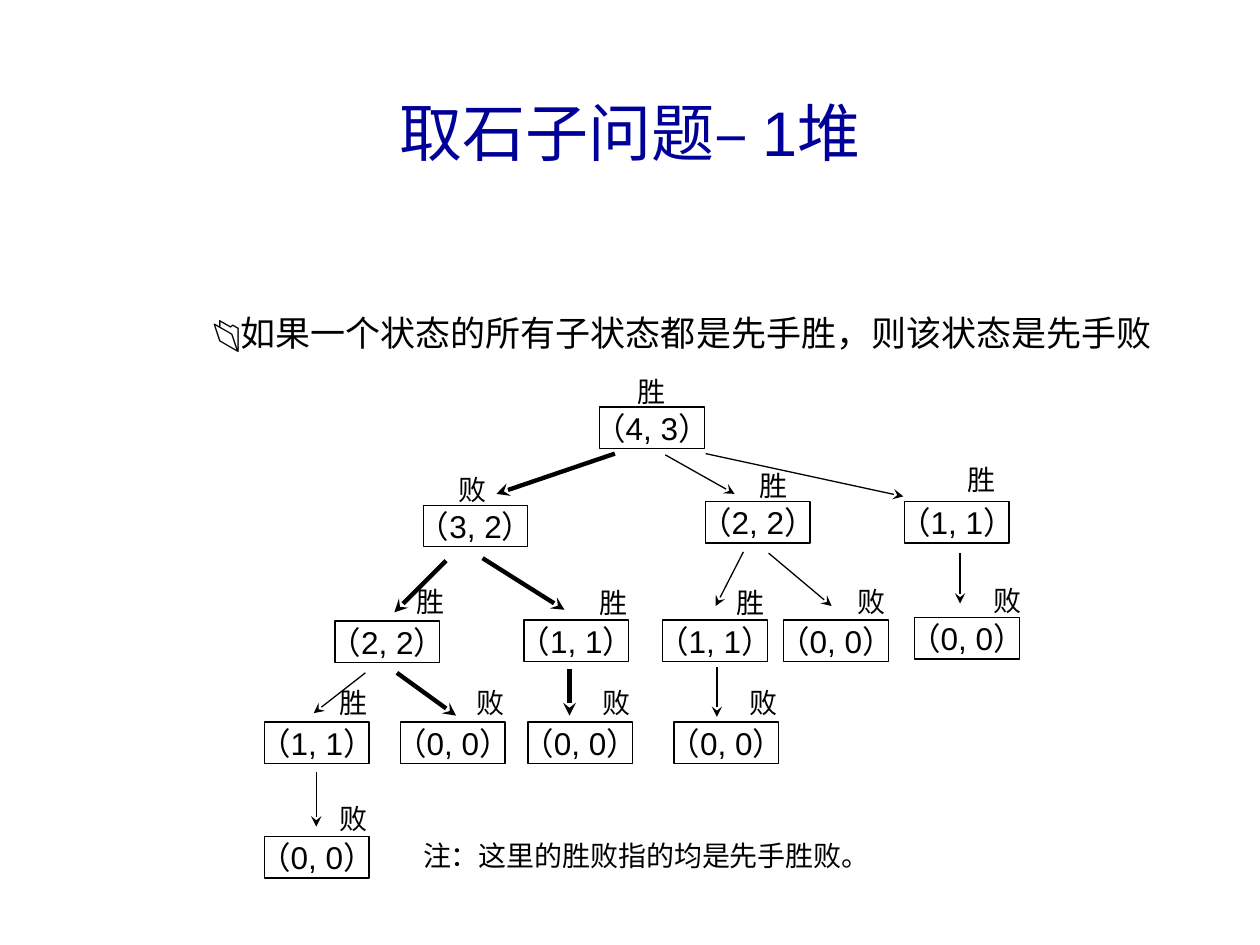
from dataclasses import dataclass

from lxml import etree
from pptx import Presentation
from pptx.dml.color import RGBColor
from pptx.enum import shapes, text
from pptx.oxml.ns import qn
from pptx.util import Inches, Pt


@dataclass(frozen=True)
class Theme:
    ink: RGBColor = RGBColor(0, 0, 0)
    heading: RGBColor = RGBColor(0, 0, 0x99)
    sans: str = "Arial"
    serif: str = "Times New Roman"
    title_size: float = 36
    rule_size: float = 20
    state_size: float = 18
    note_size: float = 16
    thin: float = 0.75
    thick: float = 2.5


THEME = Theme()
STATE_SIZE = (0.83, 0.33)
RESULT_SIZE = (0.33, 0.37)

# Game states by tree level: pair, box left and top, result, result left and top
STATES = [
    ("4, 3", 4.76, 3.23, "胜", 4.96, 2.92),

    ("3, 2", 3.36, 4.01, "败", 3.54, 3.70),
    ("2, 2", 5.60, 3.98, "胜", 5.93, 3.67),
    ("1, 1", 7.18, 3.98, "胜", 7.58, 3.62),

    ("2, 2", 2.66, 4.93, "胜", 3.21, 4.59),
    ("1, 1", 4.16, 4.92, "胜", 4.66, 4.60),
    ("1, 1", 5.26, 4.92, "胜", 5.75, 4.60),
    ("0, 0", 6.22, 4.92, "败", 6.71, 4.59),
    ("0, 0", 7.26, 4.90, "败", 7.79, 4.58),

    ("1, 1", 2.10, 5.73, "胜", 2.60, 5.39),
    ("0, 0", 3.18, 5.73, "败", 3.68, 5.39),
    ("0, 0", 4.19, 5.73, "败", 4.68, 5.39),
    ("0, 0", 5.35, 5.73, "败", 5.85, 5.39),

    ("0, 0", 2.10, 6.64, "败", 2.60, 6.31),
]

# Moves between states: start x, y and end x, y
WINNING_MOVES = [
    (4.88, 3.60, 3.94, 3.92),
    (3.54, 4.45, 3.13, 4.86),
    (3.83, 4.43, 4.48, 4.84),
    (3.15, 5.34, 3.62, 5.68),
    (4.52, 5.31, 4.52, 5.68),
]
OTHER_MOVES = [
    (5.28, 3.61, 5.83, 3.92),
    (5.60, 3.60, 7.17, 3.94),
    (5.90, 4.38, 5.68, 4.81),
    (6.10, 4.39, 6.60, 4.81),
    (7.62, 4.39, 7.62, 4.79),
    (2.90, 5.34, 2.49, 5.66),
    (5.69, 5.29, 5.69, 5.69),
    (2.51, 6.13, 2.51, 6.56),
]


def write(frame, words, size, font, color=THEME.ink, align=text.PP_ALIGN.LEFT):
    paragraph = frame.paragraphs[0]
    paragraph.text = words
    paragraph.alignment = align
    paragraph.font.size = Pt(size)
    paragraph.font.name = font
    paragraph.font.color.rgb = color


def add_title(slide, words):
    title = slide.shapes.title
    title.left, title.top = Inches(0.33), Inches(0.42)
    title.width, title.height = Inches(9.34), Inches(1.25)
    title.text_frame.vertical_anchor = text.MSO_ANCHOR.MIDDLE
    write(title.text_frame, words, THEME.title_size, THEME.sans,
          THEME.heading, text.PP_ALIGN.CENTER)


def add_label(slide, words, left, top, width, height,
              size=THEME.note_size, font=THEME.serif, align=text.PP_ALIGN.LEFT):
    label = slide.shapes.add_textbox(
        Inches(left), Inches(top), Inches(width), Inches(height))
    frame = label.text_frame
    frame.word_wrap = True
    frame.auto_size = text.MSO_AUTO_SIZE.SHAPE_TO_FIT_TEXT
    write(frame, words, size, font, align=align)


def add_state(slide, pair, left, top):
    width, height = STATE_SIZE
    state = slide.shapes.add_shape(
        shapes.MSO_SHAPE.RECTANGLE,
        Inches(left), Inches(top), Inches(width), Inches(height))
    state.shadow.inherit = False
    state.fill.background()
    state.line.color.rgb = THEME.ink
    state.line.width = Pt(THEME.thin)
    frame = state.text_frame
    frame.word_wrap = False
    frame.vertical_anchor = text.MSO_ANCHOR.MIDDLE
    frame.margin_left = frame.margin_right = Inches(0.08)
    frame.margin_top = frame.margin_bottom = Inches(0.04)
    write(frame, f"（{pair}）", THEME.state_size, THEME.sans,
          align=text.PP_ALIGN.CENTER)


def add_move(slide, ends, weight):
    move = slide.shapes.add_connector(
        shapes.MSO_CONNECTOR.STRAIGHT, *(Inches(end) for end in ends))
    move.line.color.rgb = THEME.ink
    move.line.width = Pt(weight)
    # Arrowhead at the end, and no theme shadow
    etree.SubElement(move.line._get_or_add_ln(), qn("a:tailEnd"), type="stealth")
    etree.SubElement(move._element.spPr, qn("a:effectLst"))


def main():
    deck = Presentation()
    deck.slide_width, deck.slide_height = Inches(10), Inches(7.5)
    slide = deck.slides.add_slide(deck.slide_layouts.get_by_name("Title Only"))

    # Heading and rule
    add_title(slide, "取石子问题– 1堆")
    add_label(slide, "📂如果一个状态的所有子状态都是先手胜，则该状态是先手败",
              1.33, 2.42, 8.17, 0.44,
              THEME.rule_size, THEME.sans, text.PP_ALIGN.CENTER)

    # Game tree
    for ends in WINNING_MOVES:
        add_move(slide, ends, THEME.thick)
    for ends in OTHER_MOVES:
        add_move(slide, ends, THEME.thin)
    for pair, left, top, result, result_left, result_top in STATES:
        add_state(slide, pair, left, top)
        add_label(slide, result, result_left, result_top, *RESULT_SIZE)

    # Note
    add_label(slide, "注：这里的胜败指的均是先手胜败。", 3.26, 6.61, 3.67, 0.37)

    deck.save("out.pptx")


if __name__ == "__main__":
    main()
